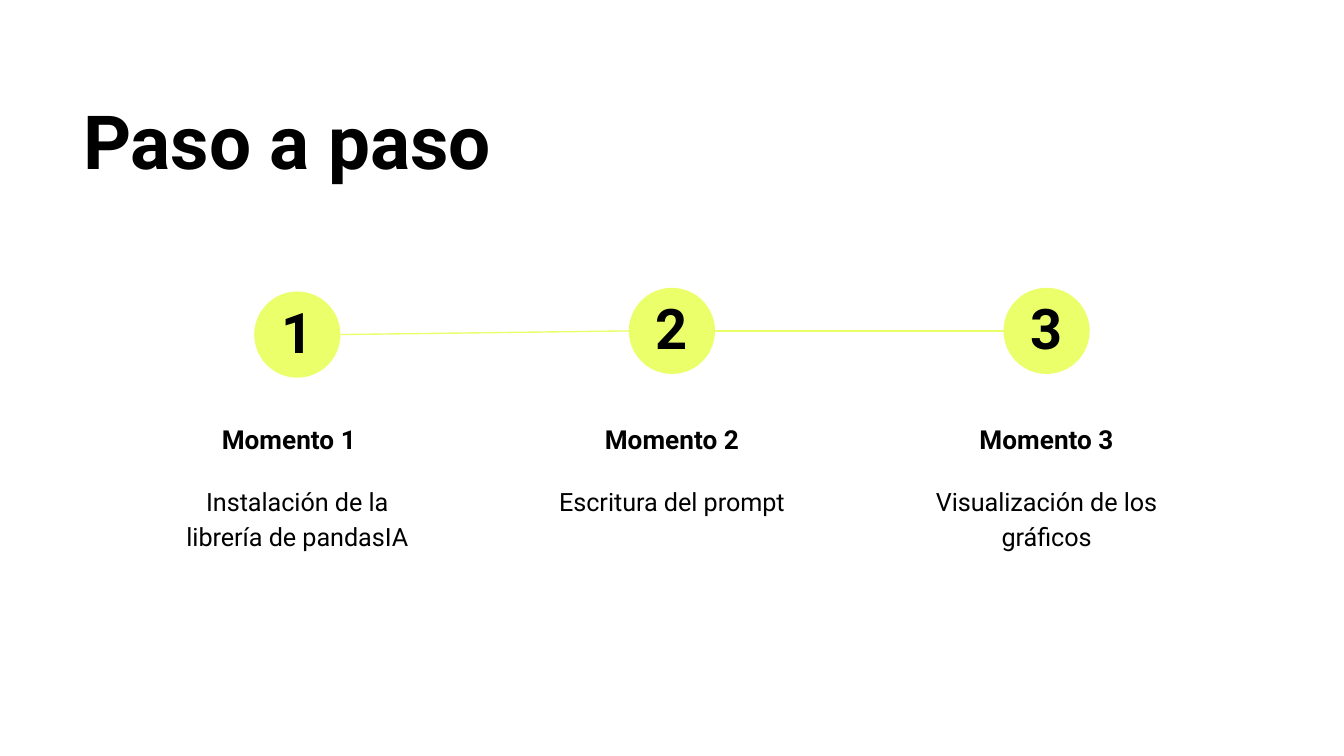
from dataclasses import dataclass

from pptx import Presentation
from pptx.dml.color import RGBColor
from pptx.enum.shapes import MSO_CONNECTOR as Conn, MSO_SHAPE as Shape
from pptx.enum.text import MSO_AUTO_SIZE as AutoSize, PP_ALIGN as Align
from pptx.oxml.ns import qn
from pptx.util import Cm, Pt

BLACK = RGBColor(0x00, 0x00, 0x00)
LIME = RGBColor(0xEA, 0xFF, 0x6A)
FONT = "Roboto"

# Timeline grid, in centimetres
FIRST_X, PITCH = 5.62, 7.08
DIAMETER = 1.63
COLUMN_W = 5.42


@dataclass
class Step:
    number: str
    heading: str
    body: str
    body_h: float
    circle_top: float = 5.44
    heading_shift: float = 0


STEPS = [
    Step("1", "Momento 1", "Instalación de la librería de pandasIA", 1.75,
         circle_top=5.51, heading_shift=-0.16),
    Step("2", "Momento 2", "Escritura del prompt", 1.09),
    Step("3", "Momento 3", "Visualización de los gráficos", 1.75),
]


def add_text(s, text: str, x: float, y: float, w: float, h: float, size: float,
             bold: bool = True, align: Align = Align.CENTER,
             spacing: float = 1.15) -> None:
    tf = s.shapes.add_textbox(Cm(x), Cm(y), Cm(w), Cm(h)).text_frame
    tf.word_wrap = True
    tf.auto_size = AutoSize.SHAPE_TO_FIT_TEXT
    tf.margin_left = tf.margin_right = tf.margin_top = tf.margin_bottom = Cm(0.25)
    p = tf.paragraphs[0]
    p.alignment = align
    p.line_spacing = spacing
    r = p.add_run()
    r.text = text
    r.font.name = FONT
    r.font.size = Pt(size)
    r.font.bold = bold
    r.font.color.rgb = BLACK


def add_link(s, x1: float, y1: float, x2: float, y2: float) -> None:
    line = s.shapes.add_connector(Conn.STRAIGHT, Cm(x1), Cm(y1), Cm(x2), Cm(y2))
    line.line.color.rgb = LIME
    line.line.width = Pt(0.75)
    sp_pr = line._element.spPr
    sp_pr.append(sp_pr.makeelement(qn("a:effectLst"), {}))


def add_step(s, step: Step, cx: float) -> None:
    sp = s.shapes.add_shape(Shape.OVAL, Cm(cx - DIAMETER / 2), Cm(step.circle_top),
                            Cm(DIAMETER), Cm(DIAMETER))
    sp.shadow.inherit = False
    sp.fill.solid()
    sp.fill.fore_color.rgb = LIME
    sp.line.fill.background()
    left = cx - COLUMN_W / 2
    add_text(s, step.number, cx - 0.57, step.circle_top, 1.14, 1.68, 30, spacing=0.9)
    add_text(s, step.heading, left + step.heading_shift, 7.67, COLUMN_W, 1.12, 14)
    add_text(s, step.body, left, 8.86, COLUMN_W, step.body_h, 13.5, bold=False)


def main() -> None:
    prs = Presentation()
    prs.slide_width, prs.slide_height = Cm(25.4), Cm(14.29)
    s = prs.slides.add_slide(prs.slide_layouts[6])

    # Title
    add_text(s, "Paso a paso", 1.32, 1.73, 22.6, 2.06, 40,
             align=Align.LEFT, spacing=0.9)

    # Lines between neighbouring circles
    radius = DIAMETER / 2
    centers = [FIRST_X + i * PITCH for i in range(len(STEPS))]
    stops = [(cx, step.circle_top + radius) for cx, step in zip(centers, STEPS)]
    for (x1, y1), (x2, y2) in zip(stops, stops[1:]):
        add_link(s, x1 + radius, y1, x2 - radius, y2)

    # Steps
    for cx, step in zip(centers, STEPS):
        add_step(s, step, cx)

    prs.save("out.pptx")


if __name__ == "__main__":
    main()
